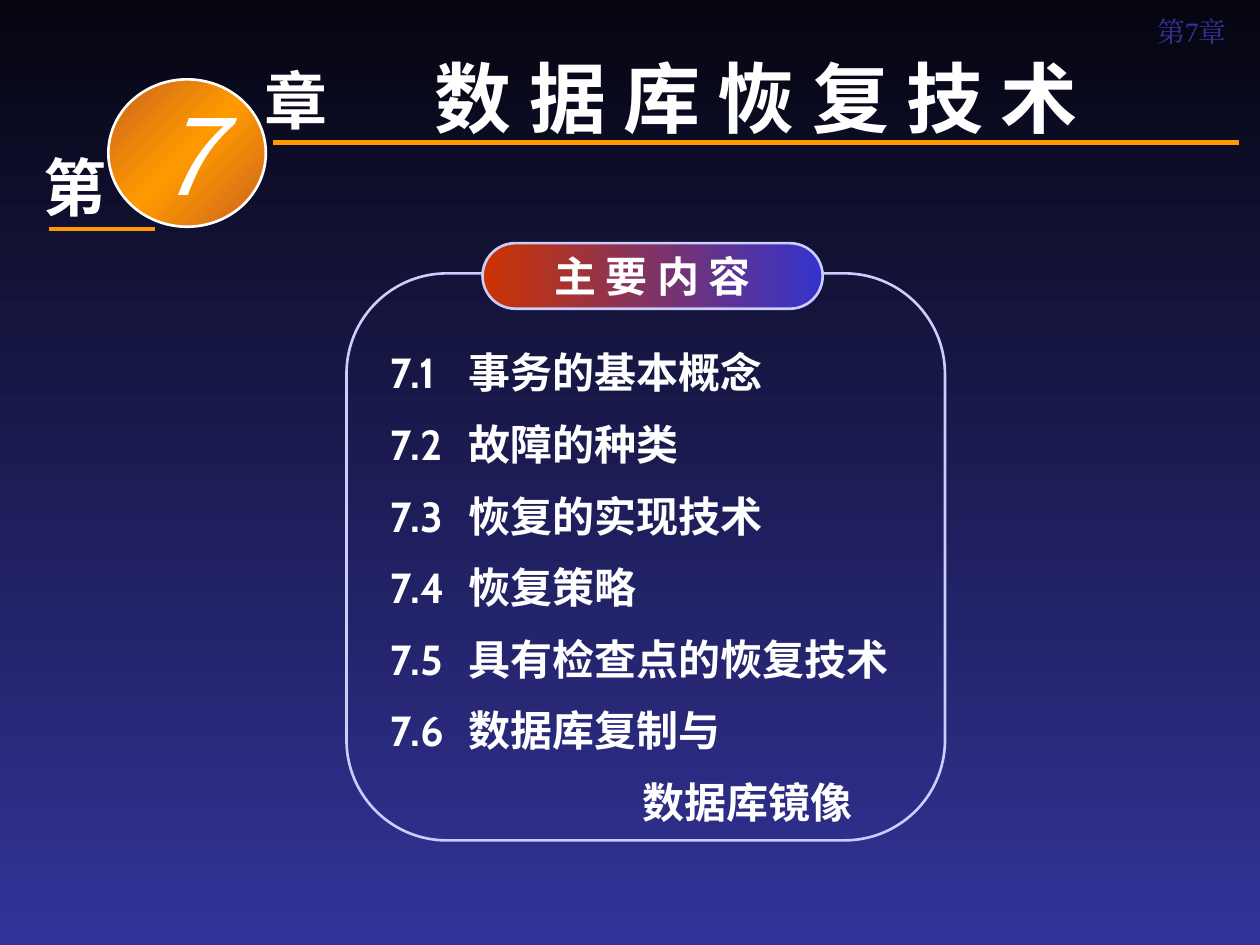
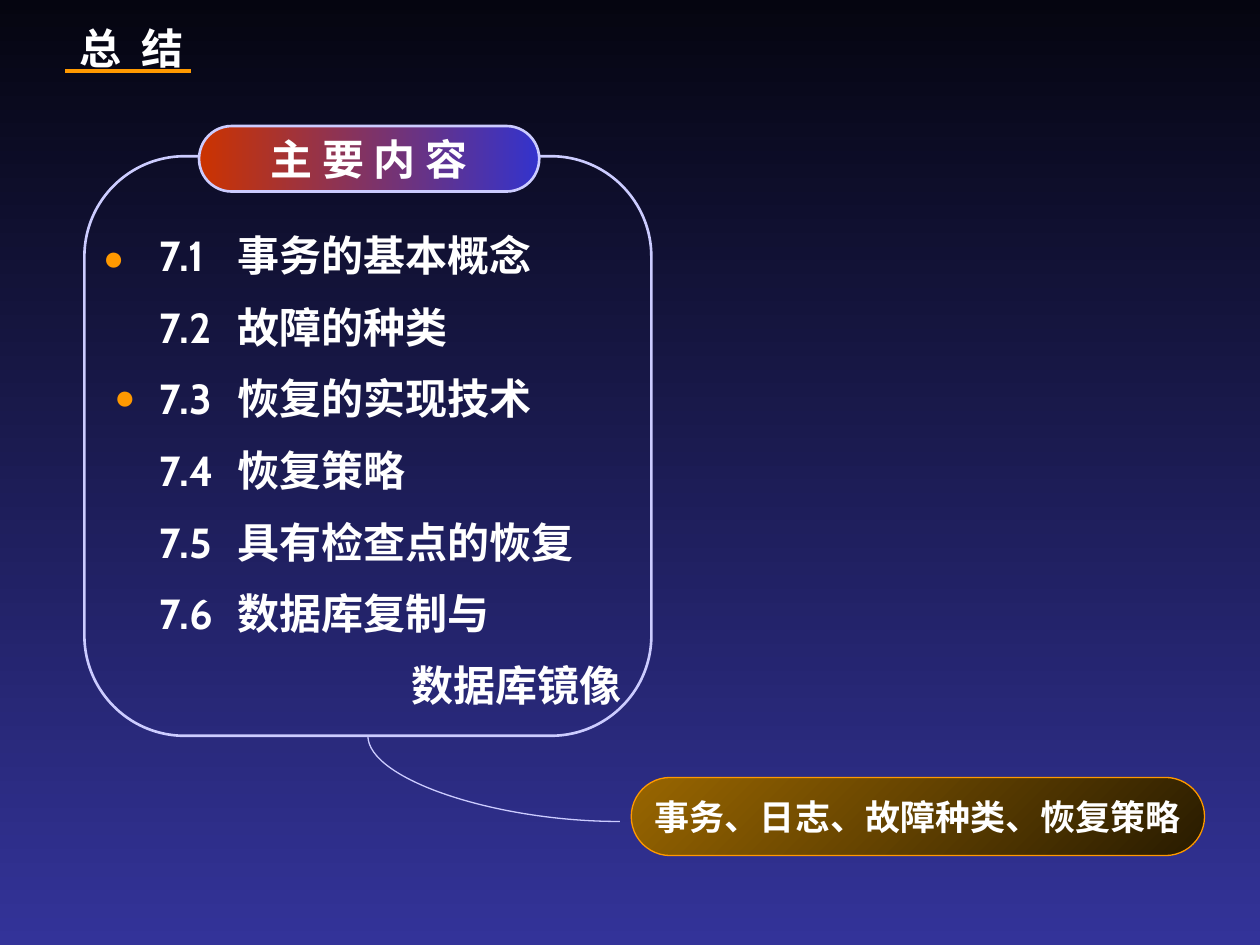
import copy

import pptx
import pptx.dml.color
import pptx.enum.shapes
import pptx.enum.text
import pptx.oxml.ns
import pptx.util
from lxml import etree

Inches = pptx.util.Inches
Pt = pptx.util.Pt
RGBColor = pptx.dml.color.RGBColor
Shape = pptx.enum.shapes.MSO_SHAPE
Connector = pptx.enum.shapes.MSO_CONNECTOR
Align = pptx.enum.text.PP_ALIGN
Anchor = pptx.enum.text.MSO_ANCHOR
qn = pptx.oxml.ns.qn

WHITE = RGBColor(0xFF, 0xFF, 0xFF)
NIGHT = RGBColor(0x05, 0x05, 0x10)
INDIGO = RGBColor(0x33, 0x33, 0x99)
ORANGE = RGBColor(0xFF, 0x99, 0x00)
RUST = RGBColor(0xC9, 0x64, 0x1F)
RED = RGBColor(0xCC, 0x33, 0x00)
BLUE = RGBColor(0x33, 0x33, 0xCC)
LAVENDER = RGBColor(0xCC, 0xCC, 0xFF)
BRONZE = RGBColor(0x99, 0x66, 0x00)
UMBER = RGBColor(0x28, 0x1B, 0x00)

SERIF = "Times New Roman"
SANS = "Noto Sans CJK SC"
BODY = "Cabin"

SECTIONS = ["7.1\t事务的基本概念", "7.2\t故障的种类", "7.3\t恢复的实现技术", "7.4\t恢复策略"]
LAST_SECTIONS = ["7.6\t数据库复制与", "数据库镜像"]


class SlideBuilder:
    """Holds the shared style and draws on the current slide."""

    def __init__(self, deck):
        self.deck = deck
        self.slide = None

    def new_slide(self):
        self.slide = self.deck.slides.add_slide(self.deck.slide_layouts[6])
        self.gradient(self.slide.background.fill, [NIGHT, INDIGO], 90)

    def gradient(self, fill, colors, clockwise_angle):
        """Spread the colours evenly along a linear gradient."""
        fill.gradient()
        fill.gradient_angle = -clockwise_angle % 360
        first_stop = fill.gradient_stops[0]._gs
        for _ in colors[2:]:
            first_stop.addnext(copy.deepcopy(first_stop))
        for index, (stop, color) in enumerate(zip(fill.gradient_stops, colors)):
            stop.color.rgb = color
            stop.position = index / (len(colors) - 1)

    def format_text(self, para, size, color=WHITE, font=BODY, asian=BODY,
                    bold=True, italic=False, spacing=0):
        for span in para.runs:
            span.font.size = Pt(size)
            span.font.bold = bold
            span.font.italic = italic
            span.font.color.rgb = color
            span.font.name = font
            properties = span.font._element
            etree.SubElement(properties, qn("a:ea")).set("typeface", asian)
            if spacing:
                properties.set("spc", str(spacing * 100))

    def text(self, left, top, width, height, words, size, align=Align.LEFT,
             anchor=Anchor.TOP, **style):
        box = self.slide.shapes.add_textbox(
            Inches(left), Inches(top), Inches(width), Inches(height))
        frame = box.text_frame
        frame.word_wrap = True
        frame.vertical_anchor = anchor
        frame.text = words
        frame.paragraphs[0].alignment = align
        self.format_text(frame.paragraphs[0], size, **style)

    def shape(self, kind, left, top, width, height, line_color, line_width,
              colors=None, angle=0, radius=None, words="", size=24, **style):
        shape = self.slide.shapes.add_shape(
            kind, Inches(left), Inches(top), Inches(width), Inches(height))
        shape.shadow.inherit = False
        if radius is not None:
            shape.adjustments[0] = radius
        if colors:
            self.gradient(shape.fill, colors, angle)
        else:
            shape.fill.background()
        shape.line.color.rgb = line_color
        shape.line.width = Pt(line_width)
        if words:
            frame = shape.text_frame
            frame.word_wrap = False
            frame.vertical_anchor = Anchor.MIDDLE
            frame.margin_left = frame.margin_right = 0
            frame.margin_top = frame.margin_bottom = 0
            frame.text = words
            frame.paragraphs[0].alignment = Align.CENTER
            self.format_text(frame.paragraphs[0], size, **style)

    def connector(self, kind, start, end, color, width):
        line = self.slide.shapes.add_connector(
            kind, *[Inches(value) for value in (*start, *end)])
        line.line.color.rgb = color
        line.line.width = Pt(width)
        etree.SubElement(line._element.spPr, qn("a:effectLst"))
        return line

    def rule(self, left, right, top, width):
        self.connector(Connector.STRAIGHT, (left, top), (right, top), ORANGE, width)

    def quarter_curve(self, start, end):
        """Leave start downwards and reach end from the left."""
        (x1, y1), (x2, y2) = start, end
        middle_x, middle_y = (x1 + x2) / 2, (y1 + y2) / 2
        half_width, half_height = (y2 - y1) / 2, (x2 - x1) / 2
        curve = self.connector(
            Connector.CURVE, (middle_x - half_width, middle_y - half_height),
            (middle_x + half_width, middle_y + half_height), LAVENDER, 0.75)
        properties = curve._element.spPr
        properties.find(qn("a:prstGeom")).set("prst", "curvedConnector2")
        frame = properties.find(qn("a:xfrm"))
        frame.set("rot", str(270 * 60000))
        frame.set("flipH", "1")

    def contents_panel(self, left, top, width, height, pill_left):
        """Rounded outline with the heading pill across its top edge."""
        self.shape(Shape.ROUNDED_RECTANGLE, left, top, width, height,
                   LAVENDER, 1.5, radius=0.177)
        self.shape(Shape.ROUNDED_RECTANGLE, pill_left, top - 0.24, 2.7, 0.52,
                   LAVENDER, 1.5, [RED, BLUE], radius=0.5,
                   words="主 要 内 容", font=SERIF)

    def section_list(self, left, top, width, fifth_section):
        box = self.slide.shapes.add_textbox(
            Inches(left), Inches(top), Inches(width), Inches(3.87))
        frame = box.text_frame
        frame.word_wrap = True
        frame.text = "\n".join([*SECTIONS, fifth_section, *LAST_SECTIONS])
        for index, para in enumerate(frame.paragraphs):
            properties = para._p.get_or_add_pPr()
            if "\t" in para.text:
                tabs = etree.SubElement(properties, qn("a:tabLst"))
                etree.SubElement(tabs, qn("a:tab"), pos=str(Inches(0.62)), algn="l")
            else:
                properties.set("marL", str(Inches(2)))
                properties.set("indent", "0")
            para.line_spacing = 0.9
            if index:
                para.space_before = Pt(15)
            self.format_text(para, 24)


def build_chapter_slide(page):
    page.new_slide()

    # Chapter heading
    page.text(3.17, 0.35, 5.67, 0.84, "数 据 库 恢 复 技 术", 44, Align.CENTER,
              font="Noto Sans CJK JP")
    page.text(0.25, 1.13, 0.65, 0.7, "第", 36, font=SERIF)
    page.text(2.0, 0.44, 1.12, 0.7, "章", 36, font=SANS)
    page.shape(Shape.OVAL, 0.86, 0.63, 1.25, 1.17, WHITE, 1.5,
               [RUST, ORANGE, RUST], 45, words="7", size=60,
               font=SANS, bold=False, italic=True)
    page.rule(2.17, 9.83, 1.13, 2.5)
    page.rule(0.39, 1.23, 1.82, 2.5)

    # Contents
    page.contents_panel(2.75, 2.17, 4.75, 4.5, pill_left=3.83)
    page.section_list(3, 2.75, 4.42, "7.5\t具有检查点的恢复技术")

    # Corner label
    page.text(9, 0.08, 0.92, 0.33, "第7章", 16, Align.CENTER, Anchor.MIDDLE,
              color=INDIGO, font=SERIF, asian=SERIF, bold=False)


def build_summary_slide(page):
    page.new_slide()

    # Title
    page.text(0.17, 0.17, 1.75, 0.42, "总 结", 24, Align.CENTER, Anchor.MIDDLE,
              font=SERIF, spacing=3)
    page.rule(0.52, 1.52, 0.56, 2.25)

    # Contents with marks at the key sections
    page.contents_panel(0.67, 1.24, 4.5, 4.6, pill_left=1.58)
    page.section_list(1.17, 1.82, 4.08, "7.5\t具有检查点的恢复")
    for left, top in [(0.72, 1.82), (0.81, 2.92)]:
        page.text(left, top, 0.37, 0.44, "●", 20, color=ORANGE,
                  font=SERIF, bold=False)

    # Key terms
    page.shape(Shape.ROUNDED_RECTANGLE, 5.01, 6.17, 4.55, 0.62, ORANGE, 0.75,
               [BRONZE, UMBER], 45, radius=0.5,
               words="事务、日志、故障种类、恢复策略", size=20, font=SANS)
    page.quarter_curve((2.92, 5.84), (4.92, 6.52))


def main():
    deck = pptx.Presentation()
    deck.slide_width = Inches(10)
    deck.slide_height = Inches(7.5)
    page = SlideBuilder(deck)
    build_chapter_slide(page)
    build_summary_slide(page)
    deck.save("out.pptx")


if __name__ == "__main__":
    main()
